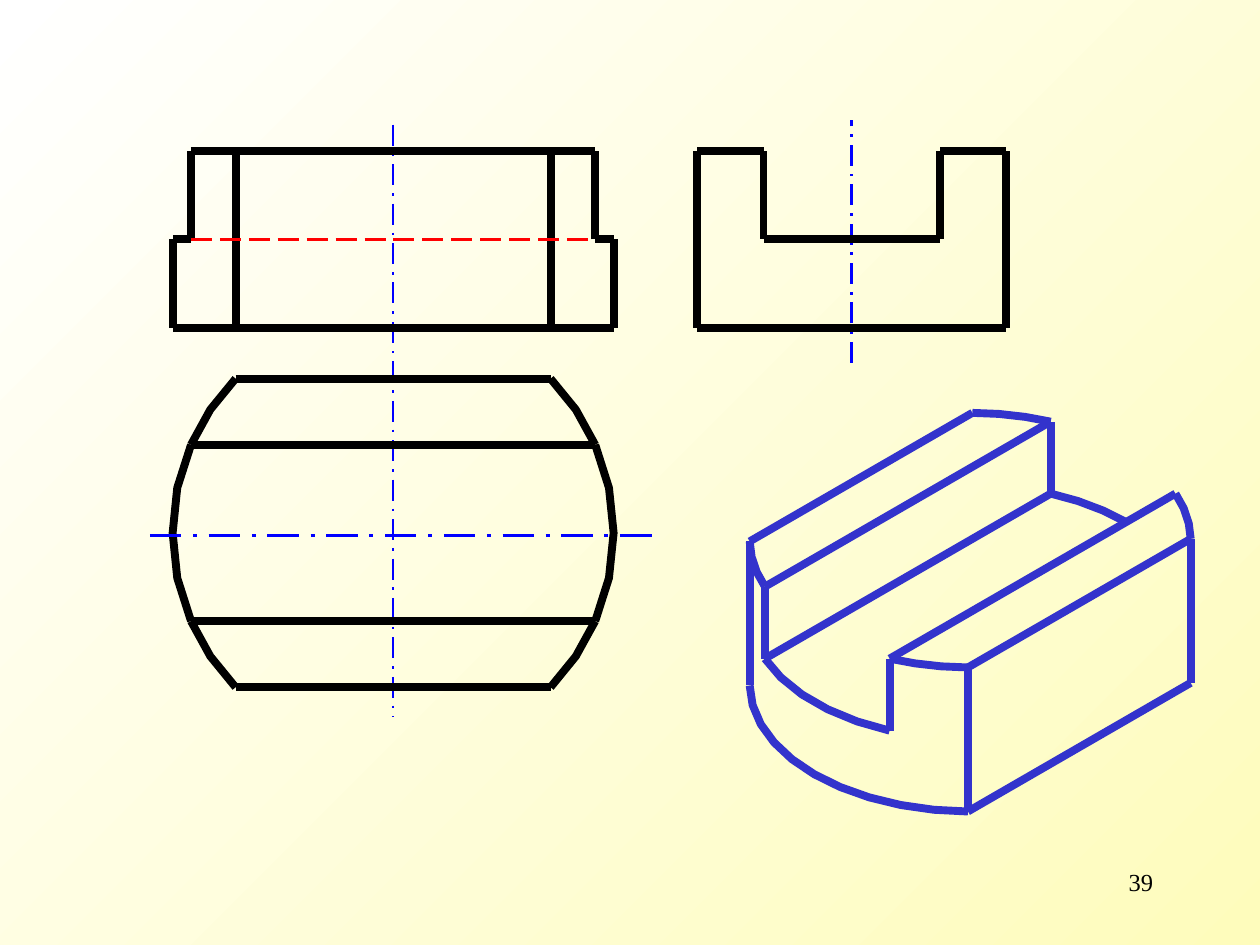
import math
from lxml import etree
from pptx import Presentation
from pptx import util as u
from pptx.dml.color import RGBColor
from pptx.enum import dml, shapes, text
from pptx.oxml.ns import qn

BLACK = RGBColor(0, 0, 0)
BLUE = RGBColor(0, 0, 0xFF)
INDIGO = RGBColor(0x33, 0x33, 0xCC)
RED = RGBColor(0xFF, 0, 0)
CREAM = RGBColor(0xFE, 0xFC, 0xBC)
WHITE = RGBColor(0xFF, 0xFF, 0xFF)
AXIS = dml.MSO_LINE.LONG_DASH_DOT
HIDDEN = dml.MSO_LINE.LONG_DASH

# The part: a disc of radius R with two flat sides and a slot, measured in inches
R, SLOT, STEP = 1.75, 0.7, 0.7        # radius, half slot width, slot depth
TOP = 2 * STEP
SIDE = 2.45 / 2                       # half distance between the flat sides
A = math.degrees(math.asin(SIDE / R))  # angle of the flat side's corner
B = math.degrees(math.asin(SLOT / R))  # angle of the slot's corner
XA = R * math.cos(math.radians(A))
XB = R * math.cos(math.radians(B))


def arc(start, end, n):
    """Points of the disc's edge, in n equal steps between two angles."""
    angles = [math.radians(start + (end - start) * i / n) for i in range(n + 1)]
    return [(R * math.cos(t), R * math.sin(t)) for t in angles]


def draw(group, points, color=BLACK, width=4.5, dash=None):
    """A connector through two points, or an open outline through more."""
    pts = [(u.Inches(x), u.Inches(y)) for x, y in points]
    if len(pts) == 2:
        sp = group.shapes.add_connector(shapes.MSO_CONNECTOR.STRAIGHT, *pts[0], *pts[1])
        etree.SubElement(sp.line._get_or_add_ln().getparent(), qn("a:effectLst"))
    else:
        builder = group.shapes.build_freeform(*pts[0])
        builder.add_line_segments(pts[1:], close=False)
        sp = builder.convert_to_shape()
        sp.fill.background()
        sp.shadow.inherit = False
    sp.line.color.rgb = color
    sp.line.width = u.Pt(width)
    if dash:
        sp.line.dash_style = dash


prs = Presentation()
prs.slide_width, prs.slide_height = u.Inches(10), u.Inches(7.5)
s = prs.slides.add_slide(prs.slide_layouts[6])

# Background
fill = s.background.fill
fill.gradient()
fill.gradient_angle = 135
for stop, color, position in zip(fill.gradient_stops, (CREAM, WHITE), (0, 1)):
    stop.color.rgb = color
    stop.position = position

# Isometric view: edges as (x, y, z) points, projected about the base's centre
iso = s.shapes.add_group_shape()
edges = [[(x, y, z) for x, y in arc(start, end, n)] for start, end, z, n in (
    (180 - A, 180 + A, 0, 10), (180 - B, 180 + B, STEP, 5), (0, B, STEP, 3),
    (180 - A, 180 - B, TOP, 3), (180 + B, 180 + A, TOP, 3),
    (-A, -B, TOP, 3), (B, A, TOP, 3))]
edges += [[(-x, y, z), (x, y, z)] for x, y, z in (
    (XA, -SIDE, 0), (XA, -SIDE, TOP), (XA, SIDE, TOP),
    (XB, -SLOT, TOP), (XB, SLOT, TOP), (XB, SLOT, STEP))]
edges += [[(x, y, z), (x, y, TOP)] for x, y, z in (
    (XA, -SIDE, 0), (-XA, -SIDE, 0), (-XA, SIDE, 0),
    (-XB, -SLOT, STEP), (-XB, SLOT, STEP), (XB, SLOT, STEP))]
ISO_X, ISO_Y = 7.7, 5.43
for edge in edges:
    draw(iso, [(ISO_X + (x - y) / math.sqrt(2),
                ISO_Y - (x + y) / math.sqrt(6) - z * math.sqrt(2 / 3))
               for x, y, z in edge], INDIGO)

# Centre lines of the front and side views
views = s.shapes.add_group_shape()
FRONT_X, SIDE_X, PLAN_Y = 3.12, 6.76, 4.23
BASE_Y = 2.6
SLOT_Y, TOP_Y = BASE_Y - STEP, BASE_Y - TOP
draw(views, [(FRONT_X, 0.99), (FRONT_X, 5.69)], BLUE, 1.5, AXIS)
draw(views, [(SIDE_X, 2.88), (SIDE_X, 0.95)], BLUE, 1.5, AXIS)

# Front view
draw(views, [(FRONT_X - R, BASE_Y), (FRONT_X + R, BASE_Y)])
draw(views, [(FRONT_X - XB, TOP_Y), (FRONT_X + XB, TOP_Y)])
for side in (-1, 1):
    xa, xb, xr = (FRONT_X + side * x for x in (XA, XB, R))
    draw(views, [(xa, BASE_Y), (xa, TOP_Y)])
    draw(views, [(xb, SLOT_Y), (xb, TOP_Y)])
    draw(views, [(xb, SLOT_Y), (xr, SLOT_Y)])
    draw(views, [(xr, BASE_Y), (xr, SLOT_Y)])
draw(views, [(FRONT_X - XB, SLOT_Y), (FRONT_X + XB, SLOT_Y)], RED, 1.5, HIDDEN)

# Side view
draw(views, [(SIDE_X - SIDE, BASE_Y), (SIDE_X + SIDE, BASE_Y)])
draw(views, [(SIDE_X - SLOT, SLOT_Y), (SIDE_X + SLOT, SLOT_Y)])
for side in (-1, 1):
    outer, inner = SIDE_X + side * SIDE, SIDE_X + side * SLOT
    draw(views, [(outer, BASE_Y), (outer, TOP_Y)])
    draw(views, [(outer, TOP_Y), (inner, TOP_Y)])
    draw(views, [(inner, TOP_Y), (inner, SLOT_Y)])

# Top view
for x, y in ((XA, SIDE), (XB, SLOT)):
    for side in (-1, 1):
        draw(views, [(FRONT_X - x, PLAN_Y + side * y), (FRONT_X + x, PLAN_Y + side * y)])
for turn in (0, 180):
    for start, end, n in ((-A, -B, 2), (-B, B, 4), (B, A, 2)):
        draw(views, [(FRONT_X + x, PLAN_Y + y) for x, y in arc(turn + start, turn + end, n)])
draw(views, [(1.19, 4.25), (5.19, 4.25)], BLUE, 2.25, AXIS)

# Page number
tf = s.shapes.add_textbox(u.Inches(7.17), u.Inches(6.83), u.Inches(2.08), u.Inches(0.5)).text_frame
tf.word_wrap = True
p = tf.paragraphs[0]
p.alignment = text.PP_ALIGN.RIGHT
r = p.add_run()
r.text = "39"
r.font.name = "Times New Roman"
r.font.size = u.Pt(14)
r.font.color.rgb = BLACK

prs.save("out.pptx")
